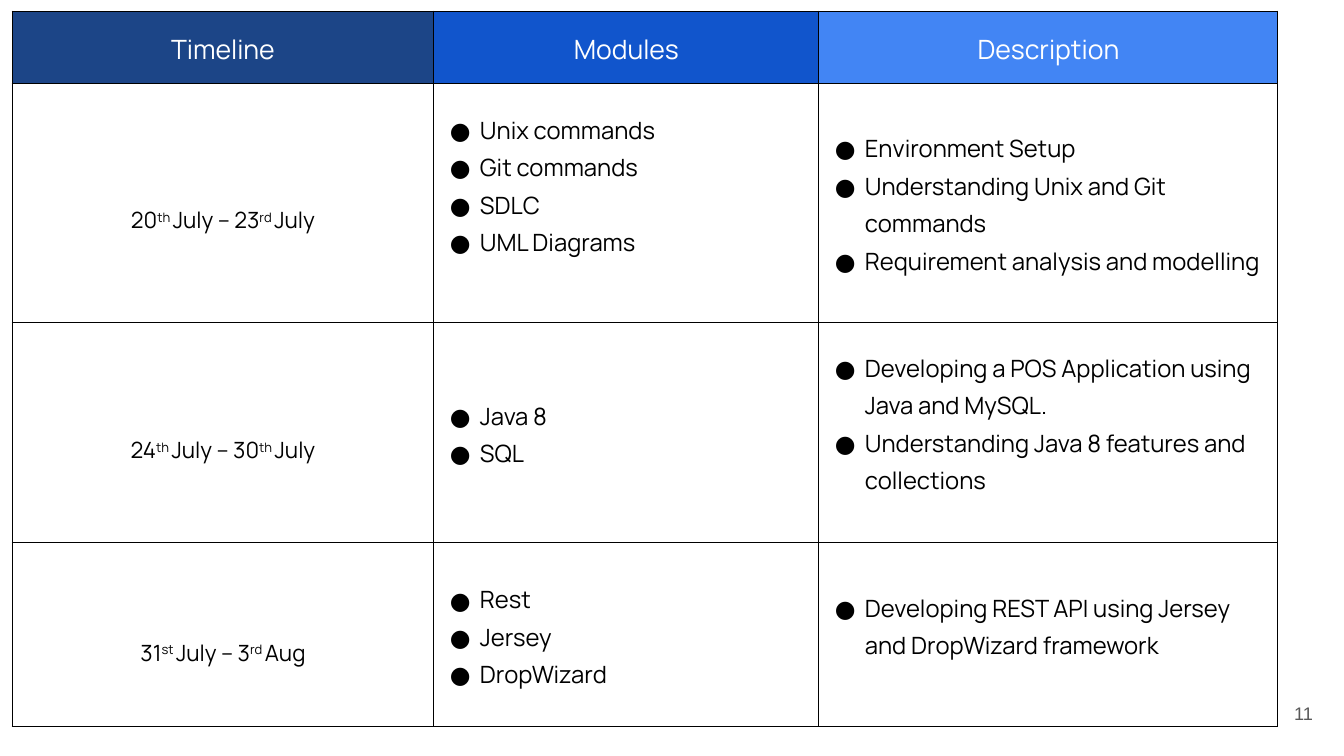
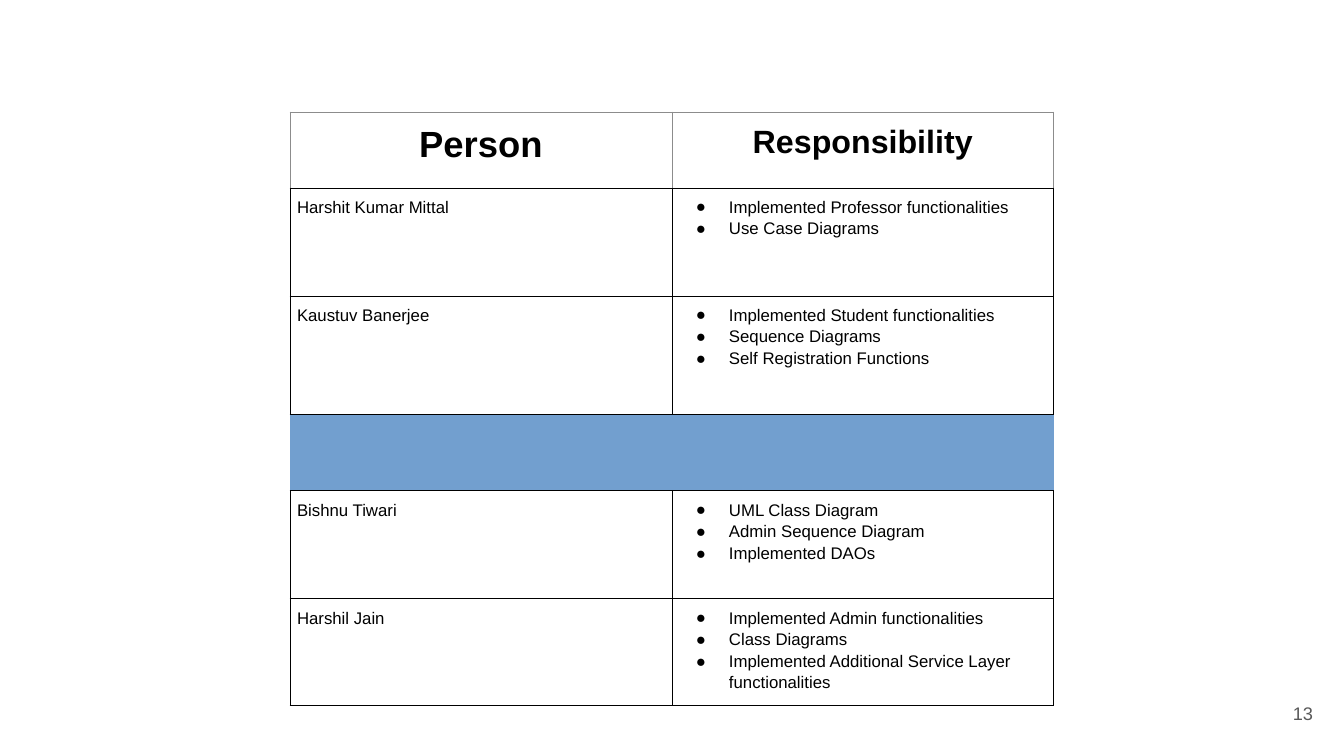
"""Build the course timeline and team responsibility slides."""
from lxml.etree import SubElement
from pptx import Presentation
from pptx.dml.color import RGBColor
from pptx.enum.text import MSO_ANCHOR as Anchor, PP_ALIGN as Align
from pptx.oxml.ns import qn
from pptx.util import Emu, Pt

BLACK = RGBColor(0x00, 0x00, 0x00)
WHITE = RGBColor(0xFF, 0xFF, 0xFF)
GRAY = RGBColor(0x59, 0x59, 0x59)
LIGHT_GRAY = RGBColor(0x8C, 0x8C, 0x8C)
NAVY = RGBColor(0x1C, 0x45, 0x87)
ROYAL = RGBColor(0x11, 0x55, 0xCC)
AZURE = RGBColor(0x42, 0x85, 0xF4)
BAND = RGBColor(0x72, 0x9F, 0xCF)

SLIDE_WIDTH, SLIDE_HEIGHT = 1344, 756
EMU_PER_PX = 12192000 / SLIDE_WIDTH


def px(length):
    return Emu(round(length * EMU_PER_PX))


class Deck:
    def __init__(self):
        self.presentation = Presentation()
        self.presentation.slide_width = px(SLIDE_WIDTH)
        self.presentation.slide_height = px(SLIDE_HEIGHT)
        self.slide = None
        self.font = "Arial"
        self.inset = 7
        self.bullet_indent = (50, 33)

    def new_slide(self, number, font, inset, bullet_indent):
        self.slide = self.presentation.slides.add_slide(self.presentation.slide_layouts[6])
        self.font, self.inset, self.bullet_indent = font, inset, bullet_indent
        self.page_number(number)

    def page_number(self, number):
        frame = self.slide.shapes.add_textbox(px(1245), px(685), px(81), px(57)).text_frame
        frame.word_wrap = True
        frame.vertical_anchor = Anchor.MIDDLE
        frame.margin_left = frame.margin_right = px(13)
        frame.margin_top = frame.margin_bottom = px(13)
        paragraph = frame.paragraphs[0]
        paragraph.alignment = Align.RIGHT
        paragraph.text = str(number)
        self.style(paragraph, 13, GRAY, "Arial")

    def style(self, paragraph, size, color=BLACK, font=None, bold=False):
        paragraph.font.size = Pt(size)
        paragraph.font.color.rgb = color
        paragraph.font.name = font or self.font
        paragraph.font.bold = bold

    def table(self, left, top, widths, heights):
        table = self.slide.shapes.add_table(
            len(heights), len(widths), px(left), px(top),
            px(sum(widths)), px(sum(heights))).table
        table.first_row = table.horz_banding = False
        for column, width in zip(table.columns, widths):
            column.width = px(width)
        for row, height in zip(table.rows, heights):
            row.height = px(height)
        return table

    def box(self, cell, fill=None, sides=BLACK, top=BLACK):
        properties = cell._tc.get_or_add_tcPr()
        for edge, color in zip("LRTB", (sides, sides, top, BLACK)):
            line = SubElement(properties, qn(f"a:ln{edge}"), w=str(Pt(0.75)))
            if color is None:
                SubElement(line, qn("a:noFill"))
            else:
                solid = SubElement(line, qn("a:solidFill"))
                SubElement(solid, qn("a:srgbClr"), val=str(color))
        if fill is None:
            cell.fill.background()
        else:
            cell.fill.solid()
            cell.fill.fore_color.rgb = fill

    def text(self, cell, lines, size, color=BLACK, align=Align.LEFT, bold=False,
             bullets=False, anchor=Anchor.MIDDLE, extra_top=0, extra_bottom=0):
        cell.vertical_anchor = anchor
        cell.margin_left = cell.margin_right = px(self.inset)
        cell.margin_top = px(self.inset + extra_top)
        cell.margin_bottom = px(self.inset + extra_bottom)
        for index, line in enumerate(lines):
            frame = cell.text_frame
            paragraph = frame.add_paragraph() if index else frame.paragraphs[0]
            paragraph.alignment = align
            paragraph.line_spacing = 1.15
            if bullets:
                self.bullet(paragraph)
            self.style(paragraph, size, color, bold=bold)
            for position, part in enumerate(line.split("^")):
                run = paragraph.add_run()
                run.text = part
                if position % 2:
                    run._r.get_or_add_rPr().set("baseline", "30000")

    def bullet(self, paragraph):
        margin, hanging = self.bullet_indent
        properties = paragraph._p.get_or_add_pPr()
        properties.set("marL", str(px(margin)))
        properties.set("indent", str(-px(hanging)))
        color = SubElement(properties, qn("a:buClr"))
        SubElement(color, qn("a:srgbClr"), val=str(BLACK))
        SubElement(properties, qn("a:buFont"), typeface=self.font)
        SubElement(properties, qn("a:buChar"), char="●")


def timeline_slide(deck):
    deck.new_slide(11, "Manrope", 8, (38, 30))
    headers = [("Timeline", NAVY), ("Modules", ROYAL), ("Description", AZURE)]
    periods = [
        ("20^th ^July – 23^rd ^July",
         ["Unix commands", "Git commands", "SDLC", "UML Diagrams"], 37,
         ["Environment Setup", "Understanding Unix and Git commands",
          "Requirement analysis and modelling"], 0),
        ("24^th ^July – 30^th ^July",
         ["Java 8", "SQL"], 0,
         ["Developing a POS Application using Java and MySQL.",
          "Understanding Java 8 features and collections"], 21),
        ("31^st ^July – 3^rd ^Aug",
         ["Rest", "Jersey", "DropWizard"], 0,
         ["Developing REST API using Jersey and DropWizard framework"], 21),
    ]
    table = deck.table(12, 11, [422, 385, 459], [72, 239, 221, 184])
    for column, (label, fill) in enumerate(headers):
        cell = table.cell(0, column)
        deck.box(cell, fill)
        deck.text(cell, [label], 19, WHITE, Align.CENTER)
    for row, (dates, modules, modules_gap, details, details_gap) in enumerate(periods, 1):
        for column in range(len(headers)):
            deck.box(table.cell(row, column))
        deck.text(table.cell(row, 0), [dates], 16, align=Align.CENTER, extra_top=31)
        deck.text(table.cell(row, 1), modules, 17, bullets=True, extra_bottom=modules_gap)
        deck.text(table.cell(row, 2), details, 17, bullets=True, extra_bottom=details_gap)


def responsibility_slide(deck):
    deck.new_slide(13, "Arial", 7, (50, 33))
    people = {
        1: ("Harshit Kumar Mittal",
            ["Implemented Professor functionalities", "Use Case Diagrams"]),
        2: ("Kaustuv Banerjee",
            ["Implemented Student functionalities", "Sequence Diagrams",
             "Self Registration Functions"]),
        4: ("Bishnu Tiwari",
            ["UML Class Diagram", "Admin Sequence Diagram", "Implemented DAOs"]),
        5: ("Harshil Jain",
            ["Implemented Admin functionalities", "Class Diagrams",
             "Implemented Additional Service Layer functionalities"]),
    }
    band_row = 3
    table = deck.table(290, 112, [382, 382], [76, 108, 119, 76, 108, 107])
    for column, (label, size) in enumerate([("Person", 26), ("Responsibility", 23)]):
        header = table.cell(0, column)
        deck.box(header, sides=LIGHT_GRAY, top=LIGHT_GRAY)
        deck.text(header, [label], size, align=Align.CENTER, bold=True, anchor=Anchor.TOP)
        deck.box(table.cell(band_row, column), BAND, sides=None)
    for row, (name, duties) in people.items():
        for column, lines in enumerate([[name], duties]):
            cell = table.cell(row, column)
            deck.box(cell)
            deck.text(cell, lines, 12, bullets=column == 1, anchor=Anchor.TOP)


def main():
    deck = Deck()
    timeline_slide(deck)
    responsibility_slide(deck)
    deck.presentation.save("out.pptx")


if __name__ == "__main__":
    main()
